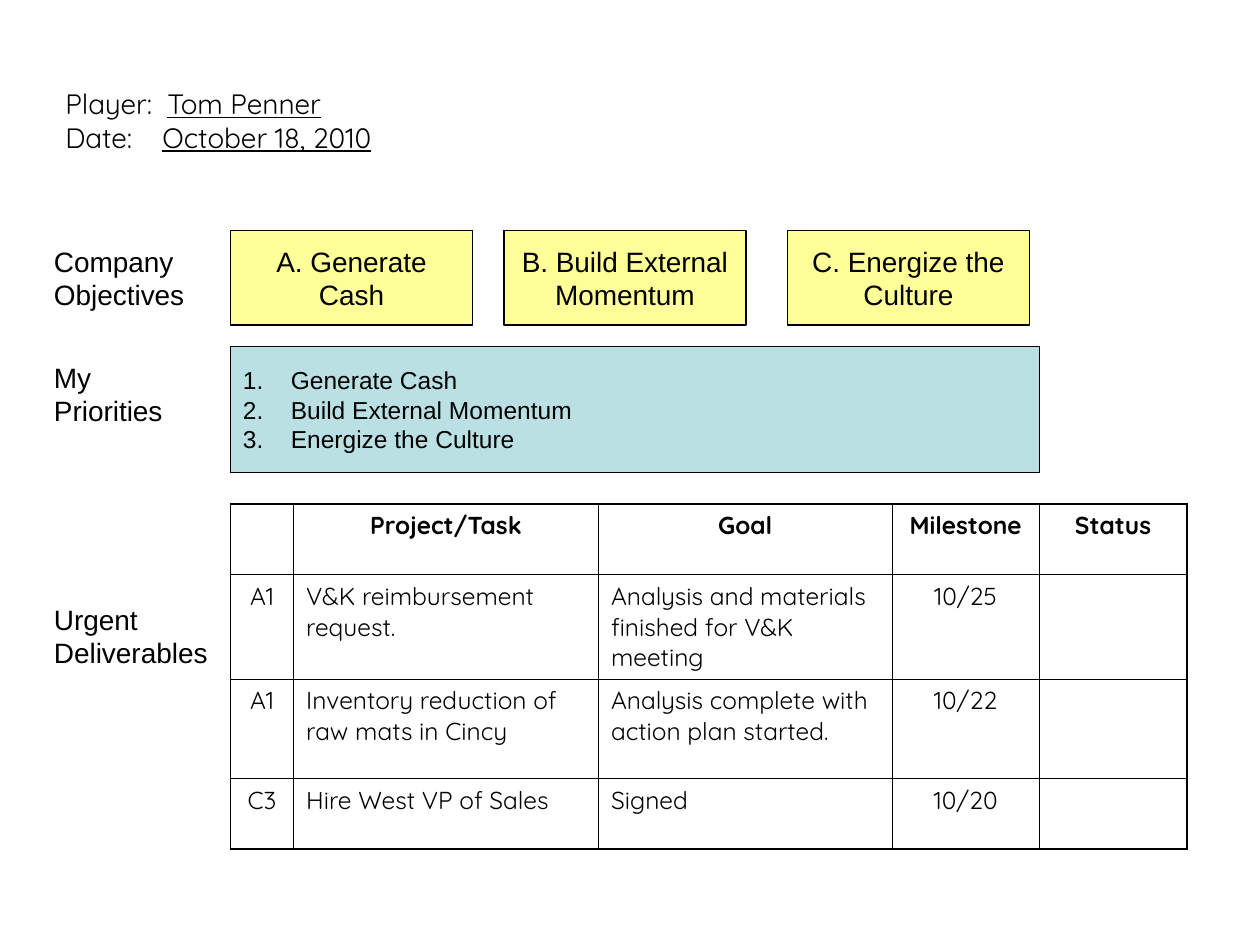
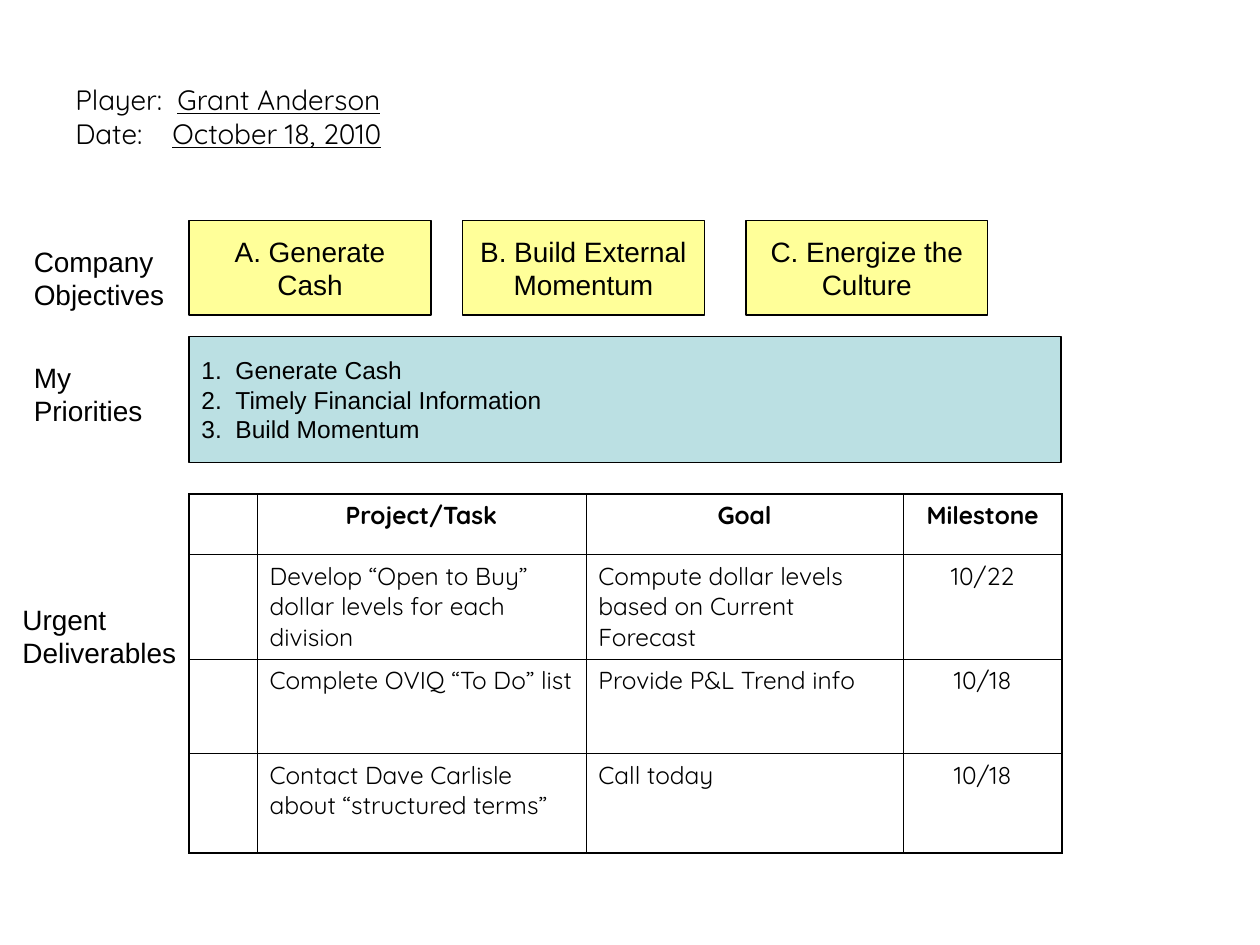
from lxml import etree
from pptx import Presentation
from pptx import util as u
from pptx.dml.color import RGBColor
from pptx.enum import shapes, text
from pptx.oxml import ns

COLORS = {"ink": "000000", "objective": "FFFF99", "priority": "BBE0E3"}
LEFT, CENTER = text.PP_ALIGN.LEFT, text.PP_ALIGN.CENTER
OBJECTIVES = [
    (0, ["A. Generate", "Cash"]),
    (2.17, ["B. Build External", "Momentum"]),
    (4.42, ["C. Energize the", "Culture"]),
]
LABELS = [
    (1.83, ["Company", "Objectives"]),
    (2.75, ["My", "Priorities"]),
    (4.67, ["Urgent", "Deliverables"]),
]
PLAYERS = [
    {
        "player": "Tom Penner", "date": "October 18, 2010", "heading": (0.42, 0.33),
        "label_lefts": (0.33, 0.33, 0.33), "origin": (1.83, 1.83),
        "priority_width": 6.42, "number_indent": 0.38,
        "priorities": ["Generate Cash", "Build External Momentum", "Energize the Culture"],
        "columns": (0.5, 2.42, 2.33, 1.17, 1.17), "rows": (0.56, 0.83, 0.79, 0.56),
        "deliverables": [
            ("", "Project/Task", "Goal", "Milestone", "Status"),
            ("A1", "V&K reimbursement request.",
             "Analysis and materials finished for V&K meeting", "10/25", ""),
            ("A1", "Inventory reduction of raw mats in Cincy",
             "Analysis complete with action plan started.", "10/22", ""),
            ("C3", "Hire West VP of Sales", "Signed", "10/20", ""),
        ],
    },
    {
        "player": "Grant Anderson", "date": "October 18, 2010", "heading": (0.5, 0.3),
        "label_lefts": (0.17, 0.17, 0.08), "origin": (1.5, 1.75),
        "priority_width": 6.92, "number_indent": 0.27,
        "priorities": ["Generate Cash", "Timely Financial Information", "Build Momentum"],
        "columns": (0.54, 2.61, 2.52, 1.26), "rows": (0.48, 0.83, 0.75, 0.79),
        "deliverables": [
            ("", "Project/Task", "Goal", "Milestone"),
            ("", "Develop “Open to Buy” dollar levels for each division",
             "Compute dollar levels based on Current Forecast", "10/22"),
            ("", "Complete OVIQ “To Do” list", "Provide P&L Trend info", "10/18"),
            ("", "Contact Dave Carlisle about “structured terms”", "Call today", "10/18"),
        ],
    },
]


class Scorecard:
    """Holds the shared style and the slide being filled."""

    def __init__(self):
        self.deck = Presentation()
        self.deck.slide_width, self.deck.slide_height = u.Inches(10), u.Inches(7.5)
        self.slide = None

    def new_slide(self):
        self.slide = self.deck.slides.add_slide(self.deck.slide_layouts[6])

    def run(self, paragraph, wording, size, face="Arial", **extra):
        run = paragraph.add_run()
        run.text = wording
        style = {"size": u.Pt(size), "name": face, **extra}
        for key, value in style.items():
            setattr(run.font, key, value)
        run.font.color.rgb = RGBColor.from_string(COLORS["ink"])

    def lines(self, frame, lines, size, align=LEFT):
        frame.word_wrap = True
        frame.vertical_anchor = text.MSO_ANCHOR.MIDDLE
        for index, line in enumerate(lines):
            paragraph = frame.add_paragraph() if index else frame.paragraphs[0]
            paragraph.alignment = align
            self.run(paragraph, line, size)
        return frame.paragraphs

    def text_box(self, left, top, width, height):
        box = self.slide.shapes.add_textbox(*map(u.Inches, (left, top, width, height)))
        return box.text_frame

    def heading(self, left, top, fields):
        frame = self.text_box(left, top, 9, 1.25)
        captions = [caption for caption, _, _ in fields]
        paragraphs = self.lines(frame, [f"{caption}\t" for caption in captions], 16)
        for paragraph, (_, value, stop) in zip(paragraphs, fields):
            for run in paragraph.runs:
                run.font.name = "Quicksand"
            self.run(paragraph, value, 16, "Quicksand", underline=True)
            stops = etree.SubElement(paragraph._p.get_or_add_pPr(), ns.qn("a:tabLst"))
            etree.SubElement(stops, ns.qn("a:tab"), pos=str(u.Inches(stop)), algn="l")

    def label(self, left, top, lines):
        frame = self.text_box(left, top, 1.42, 0.75)
        frame.margin_right = 0
        self.lines(frame, lines, 16)

    def panel(self, left, top, width, height, fill, lines, size, align=LEFT):
        panel = self.slide.shapes.add_shape(
            shapes.MSO_SHAPE.RECTANGLE, *map(u.Inches, (left, top, width, height)))
        panel.shadow.inherit = False
        panel.fill.solid()
        panel.fill.fore_color.rgb = RGBColor.from_string(COLORS[fill])
        panel.line.color.rgb = RGBColor.from_string(COLORS["ink"])
        panel.line.width = u.Pt(0.75)
        return self.lines(panel.text_frame, lines, size, align)

    def numbered_panel(self, left, top, width, lines, indent):
        hang = u.Inches(indent)
        for paragraph in self.panel(left, top, width, 1, "priority", lines, 14):
            properties = paragraph._p.get_or_add_pPr()
            properties.set("marL", str(hang))
            properties.set("indent", str(-hang))
            etree.SubElement(properties, ns.qn("a:buAutoNum"), type="arabicPeriod")

    def borders(self, cell, outer):
        properties = cell._tc.get_or_add_tcPr()
        for side in "LRTB":
            width = u.Pt(1.08 if side in outer else 0.45)
            line = etree.SubElement(properties, ns.qn(f"a:ln{side}"), w=str(width))
            fill = etree.SubElement(line, ns.qn("a:solidFill"))
            etree.SubElement(fill, ns.qn("a:srgbClr"), val=COLORS["ink"])

    def table(self, left, top, columns, heights, rows):
        sizes = map(u.Inches, (left, top, sum(columns), sum(heights)))
        table = self.slide.shapes.add_table(len(rows), len(columns), *sizes).table
        table.first_row = table.horz_banding = False
        for column, width in zip(table.columns, columns):
            column.width = u.Inches(width)
        for row, height in zip(table.rows, heights):
            row.height = u.Inches(height)
        last_row, last_column = len(rows) - 1, len(columns) - 1
        for r, row in enumerate(rows):
            for c, wording in enumerate(row):
                cell = table.cell(r, c)
                edges = {"L": c == 0, "R": c == last_column, "T": r == 0, "B": r == last_row}
                self.borders(cell, [side for side, outer in edges.items() if outer])
                cell.fill.background()
                if wording:
                    paragraph = cell.text_frame.paragraphs[0]
                    paragraph.alignment = LEFT if r and c in (1, 2) else CENTER
                    paragraph.space_before = u.Pt(3.5)
                    self.run(paragraph, wording, 14, "Quicksand", bold=r == 0)


def main():
    card = Scorecard()
    for player in PLAYERS:
        card.new_slide()
        left, top = player["origin"]
        card.heading(*player["heading"], [
            ("Player:", player["player"], 0.81), ("Date:", player["date"], 0.77)])
        for label_left, (label_top, lines) in zip(player["label_lefts"], LABELS):
            card.label(label_left, label_top, lines)
        card.numbered_panel(left, top + 0.92, player["priority_width"],
                            player["priorities"], player["number_indent"])
        for offset, lines in OBJECTIVES:
            card.panel(left + offset, top, 1.92, 0.75, "objective", lines, 16, CENTER)
        card.table(left, top + 2.17, player["columns"], player["rows"], player["deliverables"])
    card.deck.save("out.pptx")


if __name__ == "__main__":
    main()
